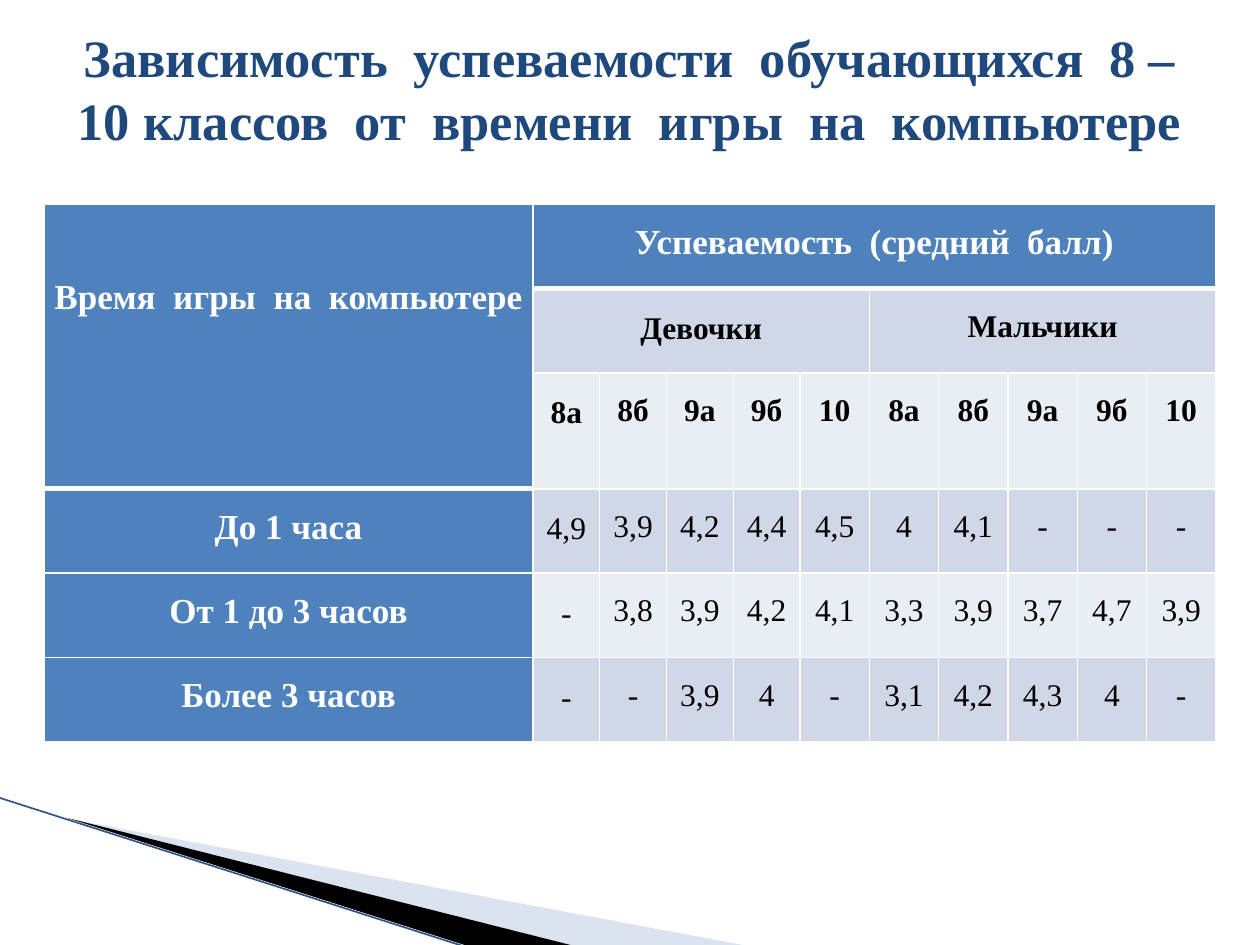
from lxml.etree import SubElement
from pptx import Presentation
from pptx.dml.color import RGBColor
from pptx.enum.shapes import MSO_CONNECTOR
from pptx.enum.text import MSO_ANCHOR, PP_ALIGN
from pptx.oxml.ns import qn
from pptx.util import Inches, Pt

FONT = "Times New Roman"
WHITE, BLACK, NAVY = "FFFFFF", "000000", "1F497D"
HEADER, BAND_DARK, BAND_LIGHT = "4F81BD", "D0D8E8", "E9EDF4"
LINE_SPACING = 15.8
TITLE = "Зависимость  успеваемости  обучающихся  8 – 10 классов  от  времени  игры  на  компьютере"
TIME_LABEL = "Время  игры  на  компьютере"
SCORE_LABEL = "Успеваемость  (средний  балл)"
CLASSES = ["8а", "8б", "9а", "9б", "10"]
SCORES = {
    "До 1 часа": ["4,9", "3,9", "4,2", "4,4", "4,5", "4", "4,1", "-", "-", "-"],
    "От 1 до 3 часов": ["-", "3,8", "3,9", "4,2", "4,1", "3,3", "3,9", "3,7", "4,7", "3,9"],
    "Более 3 часов": ["-", "-", "3,9", "4", "-", "3,1", "4,2", "4,3", "4", "-"],
}
COLUMN_WIDTHS = [3.88] + [0.53] * 4 + [0.55] * 6
ROW_HEIGHTS = [0.67, 0.67, 0.92, 0.67, 0.67, 0.67]


def rgb(color):
    return RGBColor.from_string(color)


def style_runs(paragraph, size, color, bold):
    paragraph.alignment = PP_ALIGN.CENTER
    for run in paragraph.runs:
        run.font.name = FONT
        run.font.size = Pt(size)
        run.font.bold = bold
        run.font.color.rgb = rgb(color)


def add_wedge(slide, points, color, opacity=None):
    corners = [(Inches(x), Inches(y)) for x, y in points]
    builder = slide.shapes.build_freeform(*corners[0], scale=1.0)
    builder.add_line_segments(corners[1:], close=True)
    wedge = builder.convert_to_shape()
    wedge.shadow.inherit = False
    wedge.fill.solid()
    wedge.fill.fore_color.rgb = rgb(color)
    wedge.line.fill.background()
    if opacity:
        tint = wedge._element.spPr.find(qn("a:solidFill"))[0]
        SubElement(tint, qn("a:alpha"), val=str(opacity * 1000))


def add_edge(slide, start, end, color, width):
    edge = slide.shapes.add_connector(
        MSO_CONNECTOR.STRAIGHT, *map(Inches, start), *map(Inches, end))
    edge.line.color.rgb = rgb(color)
    edge.line.width = Pt(width)
    SubElement(edge._element.spPr, qn("a:effectLst"))


def add_title(slide):
    title = slide.shapes.add_textbox(Inches(0.5), Inches(0.15), Inches(9), Inches(1.4))
    frame = title.text_frame
    frame.word_wrap = True
    frame.vertical_anchor = MSO_ANCHOR.TOP
    frame.text = TITLE
    style_runs(frame.paragraphs[0], 30, NAVY, True)


def set_borders(cell, top=1, bottom=1):
    tc_pr = cell._tc.get_or_add_tcPr()
    for side, width in (("L", 1), ("R", 1), ("T", top), ("B", bottom)):
        border = SubElement(tc_pr, qn(f"a:ln{side}"), w=str(Pt(width)))
        fill = SubElement(border, qn("a:solidFill"))
        SubElement(fill, qn("a:srgbClr"), val=WHITE)


def paint_cell(cell, row, col):
    """Give the cell its fill and its white rules, thick under the headings."""
    def rule_below(line):
        return 3 if line == (2 if col == 0 else 0) else 1

    set_borders(cell, rule_below(row - 1), rule_below(row))
    cell.fill.solid()
    band = BAND_DARK if row % 2 else BAND_LIGHT
    cell.fill.fore_color.rgb = rgb(HEADER if row == 0 or col == 0 else band)


def write_cell(cell, text, row, col, lines_above=1):
    inset = Inches(0.02 if col < 2 else 0)
    cell.margin_left = cell.margin_right = cell.margin_bottom = inset
    cell.margin_top = inset + Pt(LINE_SPACING * lines_above)
    cell.text_frame.text = text
    paragraph = cell.text_frame.paragraphs[0]
    paragraph.line_spacing = Pt(LINE_SPACING)
    heading = row == 0 or col == 0
    style_runs(paragraph, 20 if heading else 18,
               WHITE if heading else BLACK, heading or row < 3)


def add_score_table(slide):
    table = slide.shapes.add_table(
        len(ROW_HEIGHTS), len(COLUMN_WIDTHS), Inches(0.35), Inches(1.62),
        Inches(sum(COLUMN_WIDTHS)), Inches(sum(ROW_HEIGHTS))).table
    for column, width in zip(table.columns, COLUMN_WIDTHS):
        column.width = Inches(width)
    for row, height in zip(table.rows, ROW_HEIGHTS):
        row.height = Inches(height)
    for row in range(len(ROW_HEIGHTS)):
        for col in range(len(COLUMN_WIDTHS)):
            paint_cell(table.cell(row, col), row, col)

    for first, last in (((0, 0), (2, 0)), ((0, 1), (0, 10)),
                        ((1, 1), (1, 5)), ((1, 6), (1, 10))):
        table.cell(*first).merge(table.cell(*last))
    write_cell(table.cell(0, 0), TIME_LABEL, 0, 0, lines_above=3)
    write_cell(table.cell(0, 1), SCORE_LABEL, 0, 1)
    write_cell(table.cell(1, 1), "Девочки", 1, 1)
    write_cell(table.cell(1, 6), "Мальчики", 1, 6)
    for col, name in enumerate(CLASSES * 2, start=1):
        write_cell(table.cell(2, col), name, 2, col)
    for row, (play_time, scores) in enumerate(SCORES.items(), start=3):
        for col, text in enumerate([play_time, *scores]):
            write_cell(table.cell(row, col), text, row, col)


def main():
    prs = Presentation()
    prs.slide_width, prs.slide_height = Inches(10), Inches(7.5)
    slide = prs.slides.add_slide(prs.slide_layouts[6])
    add_wedge(slide, [(0.55, 6.5), (5.95, 7.51), (4.56, 7.51)], "A7B9DB", opacity=40)
    add_wedge(slide, [(0.53, 6.49), (4.57, 7.51), (3.72, 7.51)], BLACK)
    add_edge(slide, (-0.01, 6.33), (3.71, 7.52), "2F5585", 0.95)
    add_score_table(slide)
    add_title(slide)
    prs.save("out.pptx")


if __name__ == "__main__":
    main()
